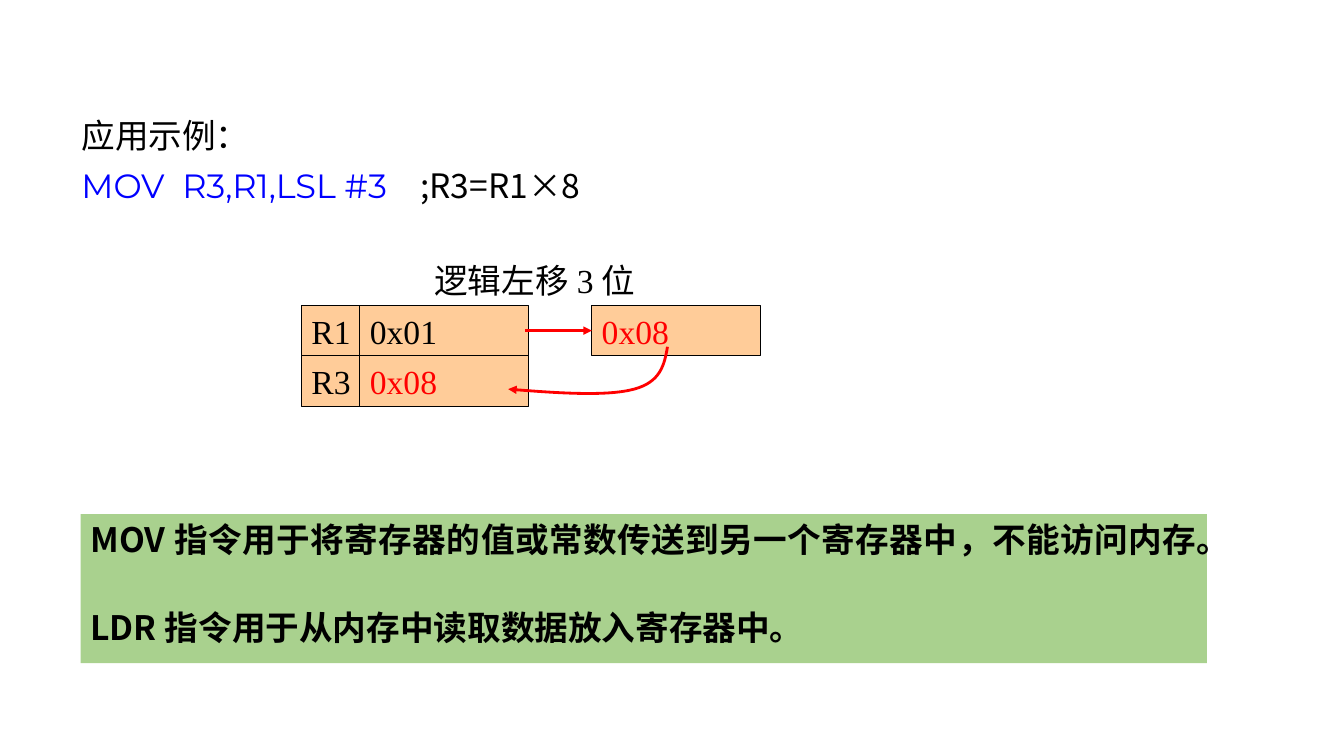
from lxml import etree
from pptx import Presentation
from pptx.dml.color import RGBColor
from pptx.enum.shapes import MSO_CONNECTOR, MSO_SHAPE
from pptx.enum.text import MSO_ANCHOR, PP_ALIGN
from pptx.oxml.ns import qn
from pptx.util import Pt

PX = 9144
COLORS = {
    "black": "000000", "blue": "0000FF", "red": "FF0000",
    "orange": "FFCC99", "green": "A9D18E",
}
TIMES, MONT = "Times New Roman", "Montserrat"
SC, JP = "Noto Sans CJK SC", "Noto Sans CJK JP"


def add_run(p, text, font, color, bold=False):
    r = p.add_run()
    r.text = text
    for name, value in {"size": Pt(24), "name": font, "bold": bold}.items():
        setattr(r.font, name, value)
    r.font.color.rgb = RGBColor.from_string(COLORS[color])
    ea = etree.SubElement(r.font._element, qn("a:ea"))
    ea.set("typeface", SC)


def style_arrow(sp):
    sp.line.color.rgb = RGBColor.from_string(COLORS["red"])
    sp.line.width = Pt(2)
    ln = sp._element.spPr.find(qn("a:ln"))
    etree.SubElement(ln, qn("a:tailEnd")).set("type", "triangle")


prs = Presentation()
prs.slide_width, prs.slide_height = 1333 * PX, 750 * PX
s = prs.slides.add_slide(prs.slide_layouts[6])

note = s.shapes.add_shape(MSO_SHAPE.RECTANGLE, 80 * PX, 510 * PX, 1117 * PX, 148 * PX)
note.shadow.inherit = False
note.fill.solid()
note.fill.fore_color.rgb = RGBColor.from_string(COLORS["green"])
note.line.fill.background()
tf = note.text_frame
tf.word_wrap, tf.vertical_anchor = True, MSO_ANCHOR.TOP
notes = [
    "MOV指令用于将寄存器的值或常数传送到另一个寄存器中，不能访问内存。",
    "LDR指令用于从内存中读取数据放入寄存器中。",
]
for i, text in enumerate(notes):
    p = tf.add_paragraph() if i else tf.paragraphs[0]
    p.alignment = PP_ALIGN.JUSTIFY
    p.space_before = Pt(34 * i)
    add_run(p, text, SC, "black", True)

example = s.shapes.add_textbox(71 * PX, 109 * PX, 858 * PX, 110 * PX)
tf = example.text_frame
tf.word_wrap = True
p = tf.paragraphs[0]
p.alignment = PP_ALIGN.JUSTIFY
add_run(p, "应用示例：", MONT, "black")
p = tf.add_paragraph()
p.space_before = Pt(7)
tabs = etree.SubElement(p._p.get_or_add_pPr(), qn("a:tabLst"))
for stop in (100, 336):
    tab = etree.SubElement(tabs, qn("a:tab"))
    tab.set("pos", str(stop * PX))
    tab.set("algn", "l")
add_run(p, "MOV\tR3,R1,LSL #3\t", MONT, "blue")
add_run(p, ";R3=R1×8", JP, "black")

cells = [
    ("R3", 299, 353, 58, "black"),
    ("R1", 299, 303, 58, "black"),
    ("0x01", 357, 303, 167, "black"),
    ("0x08", 357, 353, 167, "red"),
    ("0x08", 587, 303, 167, "red"),
]
for text, x, y, w, color in cells:
    cell = s.shapes.add_shape(MSO_SHAPE.RECTANGLE, x * PX, y * PX, w * PX, 50 * PX)
    cell.shadow.inherit = False
    cell.fill.solid()
    cell.fill.fore_color.rgb = RGBColor.from_string(COLORS["orange"])
    cell.line.color.rgb = RGBColor.from_string(COLORS["black"])
    cell.line.width = Pt(0.75)
    tf = cell.text_frame
    tf.word_wrap, tf.vertical_anchor = False, MSO_ANCHOR.MIDDLE
    p = tf.paragraphs[0]
    p.alignment = PP_ALIGN.LEFT
    add_run(p, text, TIMES, color)

shift = s.shapes.add_connector(MSO_CONNECTOR.STRAIGHT, 521 * PX, 328 * PX, 587 * PX, 328 * PX)
shift.end_connect(cell, 1)
style_arrow(shift)
etree.SubElement(shift._element.spPr, qn("a:effectLst"))

curve = [(659, 362), (655, 379), (629, 386), (603, 393), (553, 390), (504, 386)]
fb = s.shapes.build_freeform(662, 344, scale=PX)
fb.add_line_segments(curve, close=False)
store = fb.convert_to_shape()
store.shadow.inherit = False
store.fill.background()
style_arrow(store)
steps = store._element.xpath(".//a:lnTo")
for i in range(0, len(steps), 3):
    bezier = etree.Element(qn("a:cubicBezTo"))
    steps[i].addprevious(bezier)
    for step in steps[i:i + 3]:
        bezier.append(step[0])
        step.getparent().remove(step)

label = s.shapes.add_textbox(421 * PX, 253 * PX, 283 * PX, 50 * PX)
tf = label.text_frame
tf.word_wrap, tf.vertical_anchor = False, MSO_ANCHOR.MIDDLE
add_run(tf.paragraphs[0], "逻辑左移3位", TIMES, "black")

prs.save("out.pptx")
